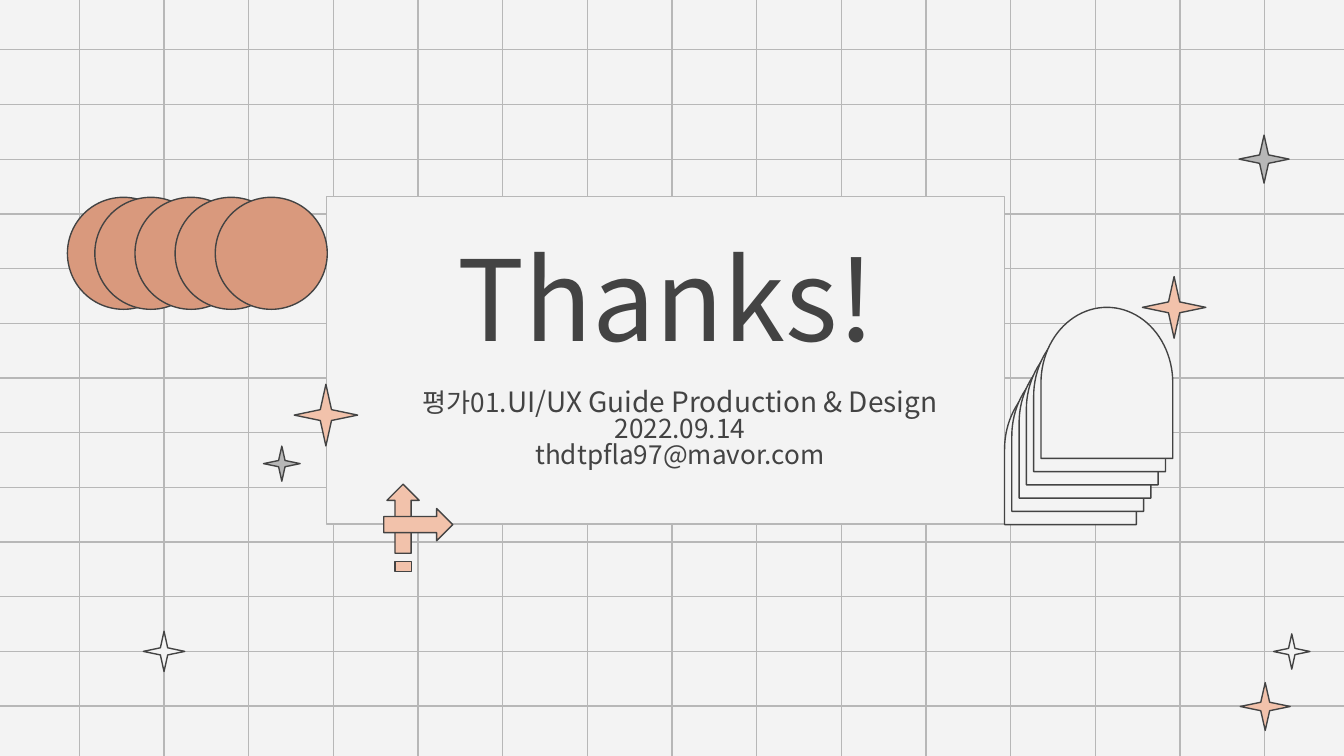
from typing import NamedTuple

from lxml import etree
from pptx import Presentation
from pptx.dml.color import RGBColor
from pptx.enum import shapes, text
from pptx.oxml import ns
from pptx.util import Pt

FONT = "Noto Sans CJK KR"
PAPER, INK, GRAY = "F3F3F3", "434343", "B7B7B7"
PEACH, CLAY = "F2C2AB", "D9997D"
KIND = shapes.MSO_SHAPE


class Box(NamedTuple):
    left: float
    top: float
    width: float
    height: float


class Run(NamedTuple):
    text: str
    size: float


class Star(NamedTuple):
    box: Box
    fill: str


def color(target, hex_value: str) -> None:
    target.rgb = RGBColor.from_string(hex_value)


def add_line(s, x1: float, y1: float, x2: float, y2: float) -> None:
    line = s.shapes.add_connector(
        shapes.MSO_CONNECTOR.STRAIGHT, Pt(x1), Pt(y1), Pt(x2), Pt(y2))
    color(line.line.color, GRAY)
    line.line.width = Pt(0.75)
    etree.SubElement(line._element.spPr, ns.qn("a:effectLst"))


def add_figure(s, kind, box: Box, fill: str, outline: str = INK, rotation: float = 0):
    sp = s.shapes.add_shape(kind, *map(Pt, box))
    sp.shadow.inherit = False
    sp.fill.solid()
    color(sp.fill.fore_color, fill)
    color(sp.line.color, outline)
    sp.line.width = Pt(0.75)
    sp.rotation = rotation
    return sp


def add_star(s, star: Star) -> None:
    sp = add_figure(s, KIND.STAR_4_POINT, star.box, star.fill)
    sp.adjustments[0] = 0.125


def add_text(s, box: Box, lines: list[list[Run]], anchor, spacing: float) -> None:
    tf = s.shapes.add_textbox(*map(Pt, box)).text_frame
    tf.word_wrap = True
    tf.vertical_anchor = anchor
    tf.margin_left = tf.margin_right = tf.margin_top = tf.margin_bottom = Pt(7.2)
    for i, runs in enumerate(lines):
        p = tf.paragraphs[0] if i == 0 else tf.add_paragraph()
        p.alignment = text.PP_ALIGN.CENTER
        p.line_spacing = spacing
        for run in runs:
            r = p.add_run()
            r.text = run.text
            r.font.size = Pt(run.size)
            r.font.name = FONT
            color(r.font.color, INK)
            east_asian = etree.SubElement(r.font._element, ns.qn("a:ea"))
            east_asian.set("typeface", FONT)


def add_grid(s) -> None:
    mid_x, mid_y, step_x, step_y = 360, 202.5, 45.36, 29.3
    for y1, y2 in ((-2, mid_y), (mid_y, 407.5)):
        for i in range(-7, 8):
            x = mid_x + i * step_x
            add_line(s, x, y1, x, y2)
    for x1, x2 in ((-3, mid_x), (mid_x, 723)):
        for i in range(-6, 7):
            y = mid_y + i * step_y
            add_line(s, x1, y, x2, y)


def main() -> None:
    prs = Presentation()
    prs.slide_width, prs.slide_height = Pt(720), Pt(405)
    s = prs.slides.add_slide(prs.slide_layouts[6])
    s.background.fill.solid()
    color(s.background.fill.fore_color, PAPER)

    add_grid(s)
    add_figure(s, KIND.RECTANGLE, Box(175, 105.2, 363, 175.6), PAPER, GRAY)
    add_text(s, Box(204.5, 125.3, 304.5, 67.7), [[Run("Thanks!", 60)]],
             text.MSO_ANCHOR.MIDDLE, 1)
    add_text(s, Box(206.6, 201.6, 315.4, 67), [
        [Run("평가01.", 14), Run("UI/UX Guide Production & Design", 15)],
        [Run("2022.09.14", 14)],
        [Run("thdtpfla97@mavor.com", 14)],
    ], text.MSO_ANCHOR.TOP, 0.83)

    for i in range(6):
        arch = Box(533 + 3.9 * i, 205.3 - 7.1 * i, 80.9, 70.6)
        add_figure(s, KIND.FLOWCHART_DELAY, arch, PAPER, rotation=270)
    for left in (36.1, 50.8, 72.3, 93.8, 115.3):
        add_figure(s, KIND.OVAL, Box(left, 105.7, 60, 60), CLAY)

    for star in (
        Star(Box(664.4, 365.7, 26.8, 25.6), PEACH),
        Star(Box(682.3, 339.6, 19.5, 18.9), PAPER),
        Star(Box(663.8, 72.4, 26.8, 25.7), GRAY),
        Star(Box(612, 148.2, 34, 33), PEACH),
        Star(Box(157.6, 205.9, 34, 33), PEACH),
        Star(Box(141.2, 239, 19.6, 18.8), GRAY),
        Star(Box(76.8, 338.2, 22.2, 21.6), PAPER),
    ):
        add_star(s, star)

    add_figure(s, KIND.UP_ARROW, Box(207.3, 259.4, 17.3, 37), PEACH)
    add_figure(s, KIND.RECTANGLE, Box(211.6, 300.7, 8.8, 5.5), PEACH)
    add_figure(s, KIND.UP_ARROW, Box(215.4, 262.6, 17.3, 37), PEACH, rotation=90)

    prs.save("out.pptx")


if __name__ == "__main__":
    main()
